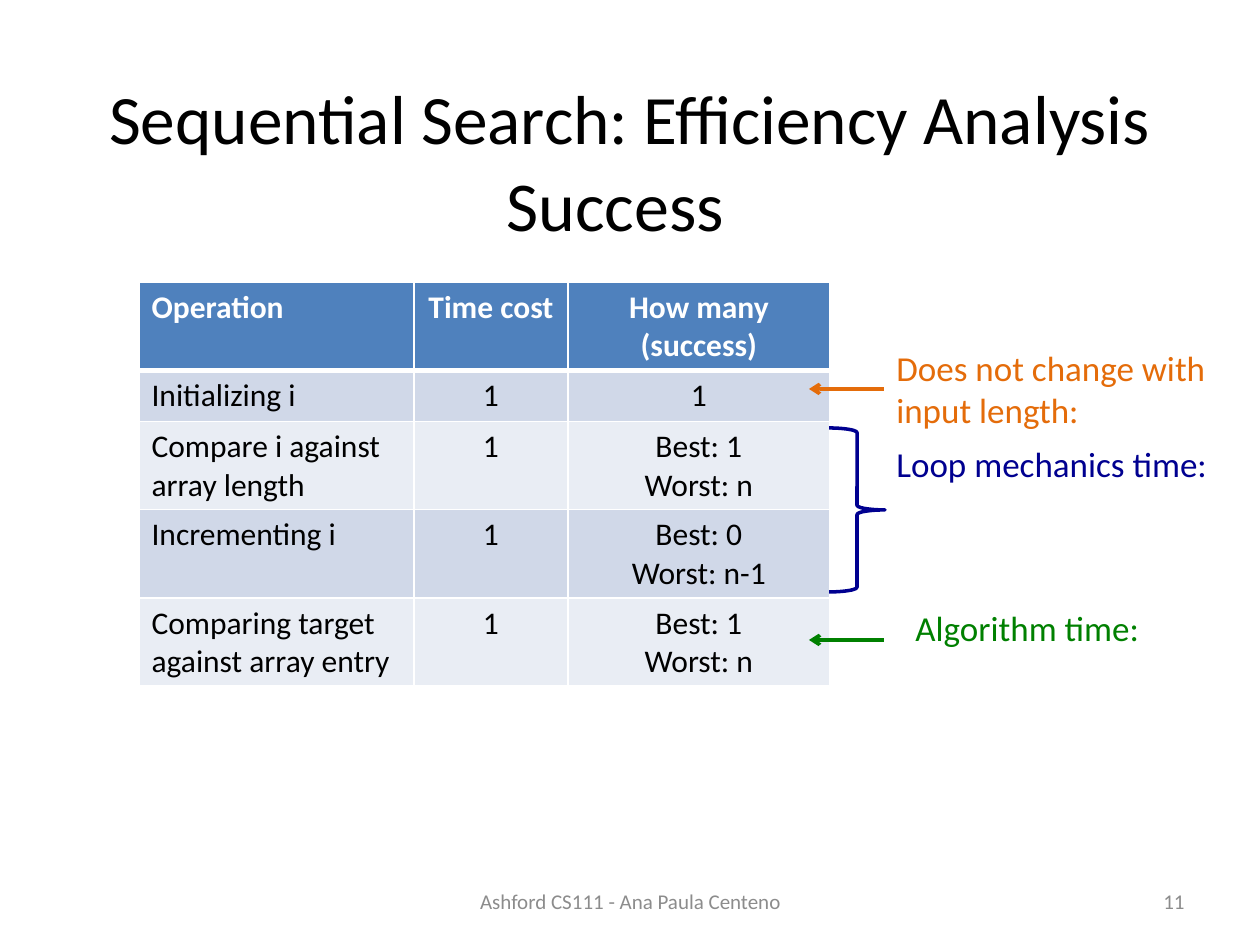
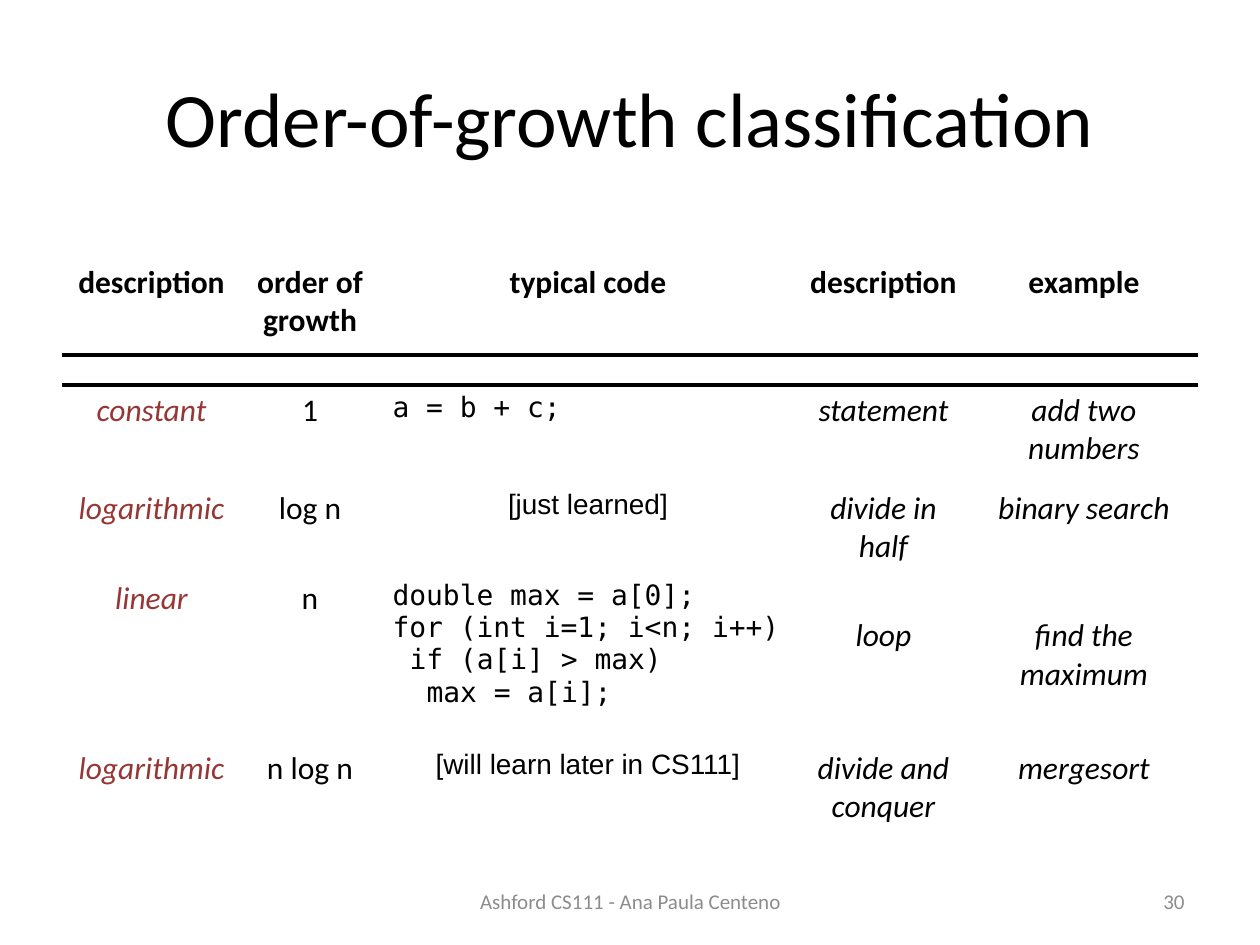
from lxml import etree
from pptx import Presentation
from pptx.dml.color import RGBColor
from pptx.enum.shapes import MSO_CONNECTOR, MSO_SHAPE
from pptx.enum.text import MSO_ANCHOR, PP_ALIGN
from pptx.oxml.ns import qn
from pptx.util import Emu, Pt

LEFT, MID, RIGHT = PP_ALIGN.LEFT, PP_ALIGN.CENTER, PP_ALIGN.RIGHT
TOP, CENTER = MSO_ANCHOR.TOP, MSO_ANCHOR.MIDDLE
STRAIGHT, BRACE = MSO_CONNECTOR.STRAIGHT, MSO_SHAPE.RIGHT_BRACE
SCALE = 914400 / 126

BLACK, WHITE, GRAY = "000000", "FFFFFF", "8C8C8C"
ORANGE, NAVY, GREEN, MAROON = "E46C0A", "000090", "008000", "953735"
BLUE, BANDS = "4F81BD", ("D0D8E8", "E9EDF4")

# Text formats: font values plus colour and alignment
BASE = {"name": "Calibri", "size": 18, "bold": False, "italic": False,
        "color": BLACK, "align": LEFT}
BODY = {**BASE, "align": MID}
HEAD = {**BODY, "bold": True}
TERM = {**BODY, "italic": True, "color": MAROON}
NOTE = {**BODY, "italic": True}
CODE = {**BASE, "name": "DejaVu Sans Mono", "size": 16}
ASIDE = {**BODY, "name": "Arial", "size": 16}
FOOT = {**BODY, "size": 12, "color": GRAY}

FOOTER = "Ashford CS111 - Ana Paula Centeno"
INDENT = 17

COSTS = [
    ("Operation", "Time cost", "How many (success)"),
    ("Initializing i", "1", "1"),
    ("Compare i against array length", "1", "Best: 1\nWorst: n"),
    ("Incrementing i", "1", "Best: 0\nWorst: n-1"),
    ("Comparing target against array entry", "1", "Best: 1\nWorst: n"),
]
COST_COLS = (275, 154, 262)
COST_ROWS = (88, 51, 88, 88, 88)

# Text, colour, box left, top, width, height
LABELS = [
    ("Does not change with input length:", ORANGE, (884, 340, 353, 97)),
    ("Loop mechanics time:", NAVY, (884, 436, 353, 55)),
    ("Algorithm time:", GREEN, (903, 600, 251, 55)),
]
ARROWS = [(ORANGE, 389), (GREEN, 640)]

LOOP = "double max = a[0];\nfor (int i=1; i<n; i++)\n if (a[i] > max)\n  max = a[i];"
GROWTH = [
    ("description", "order of growth", "typical code", "description", "example"),
    ("",) * 5,
    ("constant", "1", "a = b + c;", "statement", "add two numbers"),
    ("logarithmic", "log n", "[just learned]", "divide in half", "binary search"),
    ("linear", "n", LOOP, "loop", "find the maximum"),
    ("logarithmic", "n log n", "[will learn later in CS111]",
     "divide and conquer", "mergesort"),
]
GROWTH_COLS = (177, 140, 416, 175, 226)
GROWTH_ROWS = (98, 30, 98, 90, 170, 90)
LOOP_ROW, LOOP_DROP = 4, 44


def px(num):
    """Turn pixels into EMU."""
    return Emu(round(num * SCALE))


def rgb(code):
    """Turn a hex string into a colour."""
    return RGBColor.from_string(code)


def write(frame, text, fmt):
    """Write one paragraph per line; leading spaces become an indent."""
    frame.word_wrap = True
    for num, line in enumerate(text.split("\n")):
        para = frame.paragraphs[0] if num == 0 else frame.add_paragraph()
        para.alignment = fmt["align"]
        bare = line.lstrip()
        step = len(line) - len(bare)
        if step:
            para._p.get_or_add_pPr().set("marL", str(px(INDENT * step)))
        run = para.add_run()
        run.text = bare
        run.font.color.rgb = rgb(fmt["color"])
        for key in ("name", "bold", "italic"):
            setattr(run.font, key, fmt[key])
        run.font.size = Pt(fmt["size"])


def label(slide, text, box, fmt, anchor=TOP):
    """Add a text box."""
    frame = slide.shapes.add_textbox(*map(px, box)).text_frame
    frame.vertical_anchor = anchor
    write(frame, text, fmt)


def edge(cell, sides):
    """Set cell borders from {side: (colour, points)}."""
    props = cell._tc.get_or_add_tcPr()
    order = [side for side in "LRTB" if side in sides]
    for spot, side in enumerate(order):
        color, width = sides[side]
        line = etree.Element(qn("a:ln" + side), w=str(Pt(width)))
        fill = etree.SubElement(line, qn("a:solidFill"))
        etree.SubElement(fill, qn("a:srgbClr"), val=color)
        props.insert(spot, line)


def grid(slide, left, top, cols, rows):
    """Add a plain table with the given column widths and row heights."""
    area = (left, top, sum(cols), sum(rows))
    table = slide.shapes.add_table(len(rows), len(cols), *map(px, area)).table
    table.first_row = table.horz_banding = False
    for col, width in zip(table.columns, cols):
        col.width = px(width)
    for row, height in zip(table.rows, rows):
        row.height = px(height)
    return table


def arrow(slide, color, y):
    """Add an arrow pointing left into the table."""
    line = slide.shapes.add_connector(STRAIGHT, px(884), px(y), px(809), px(y))
    line.line.color.rgb = rgb(color)
    line.line.width = Pt(2)
    etree.SubElement(line.line._get_or_add_ln(), qn("a:tailEnd"), type="arrow")
    etree.SubElement(line._element.spPr, qn("a:effectLst"))


def start(deck, title, size, page):
    """Add a slide with title, footer and page number."""
    slide = deck.slides.add_slide(deck.slide_layouts[6])
    label(slide, title, (63, 38, 1134, 157), {**BODY, "size": size}, CENTER)
    label(slide, FOOTER, (431, 876, 399, 50), FOOT, CENTER)
    label(slide, page, (903, 876, 294, 50), {**FOOT, "align": RIGHT}, CENTER)
    return slide


def search(deck):
    """Build the sequential search slide."""
    slide = start(deck, "Sequential Search: Efficiency Analysis", 39.6, "11")
    label(slide, "Success", (494, 155, 455, 111), {**BASE, "size": 40})
    table = grid(slide, 139, 282, COST_COLS, COST_ROWS)
    for r, row in enumerate(COSTS):
        for c, text in enumerate(row):
            cell = table.cell(r, c)
            fmt = BODY if c else BASE
            if r == 0:
                fmt = {**fmt, "bold": True, "color": WHITE}
            write(cell.text_frame, text, fmt)
            cell.fill.solid()
            cell.fill.fore_color.rgb = rgb(BANDS[(r - 1) % 2] if r else BLUE)
            sides = dict.fromkeys("LRTB", (WHITE, 1))
            if r < 2:
                sides["T" if r else "B"] = (WHITE, 3)
            edge(cell, sides)
    for text, color, box in LABELS:
        label(slide, text, box, {**BASE, "size": 20, "color": color})
    for color, y in ARROWS:
        arrow(slide, color, y)
    brace = slide.shapes.add_shape(BRACE, *map(px, (829, 428, 56, 164)))
    brace.shadow.inherit = False
    brace.fill.background()
    brace.line.color.rgb = rgb(NAVY)
    brace.line.width = Pt(2)


def growth(deck):
    """Build the order-of-growth slide."""
    slide = start(deck, "Order-of-growth classification", 44, "30")
    table = grid(slide, 63, 257, GROWTH_COLS, GROWTH_ROWS)
    for r, row in enumerate(GROWTH):
        for c, text in enumerate(row):
            cell = table.cell(r, c)
            cell.fill.background()
            if r < 2:
                edge(cell, {"T" if r else "B": (BLACK, 2.25)})
            if not text:
                para = cell.text_frame.paragraphs[0]._p
                etree.SubElement(para, qn("a:endParaRPr"), sz="800")
                continue
            code = ASIDE if text.startswith("[") else CODE
            fmt = (TERM, BODY, code, NOTE, NOTE)[c] if r else HEAD
            write(cell.text_frame, text, fmt)
            if r == LOOP_ROW and c > 2:
                cell.margin_top = px(LOOP_DROP)


deck = Presentation()
deck.slide_width, deck.slide_height = px(1260), px(945)
search(deck)
growth(deck)
deck.save("out.pptx")
